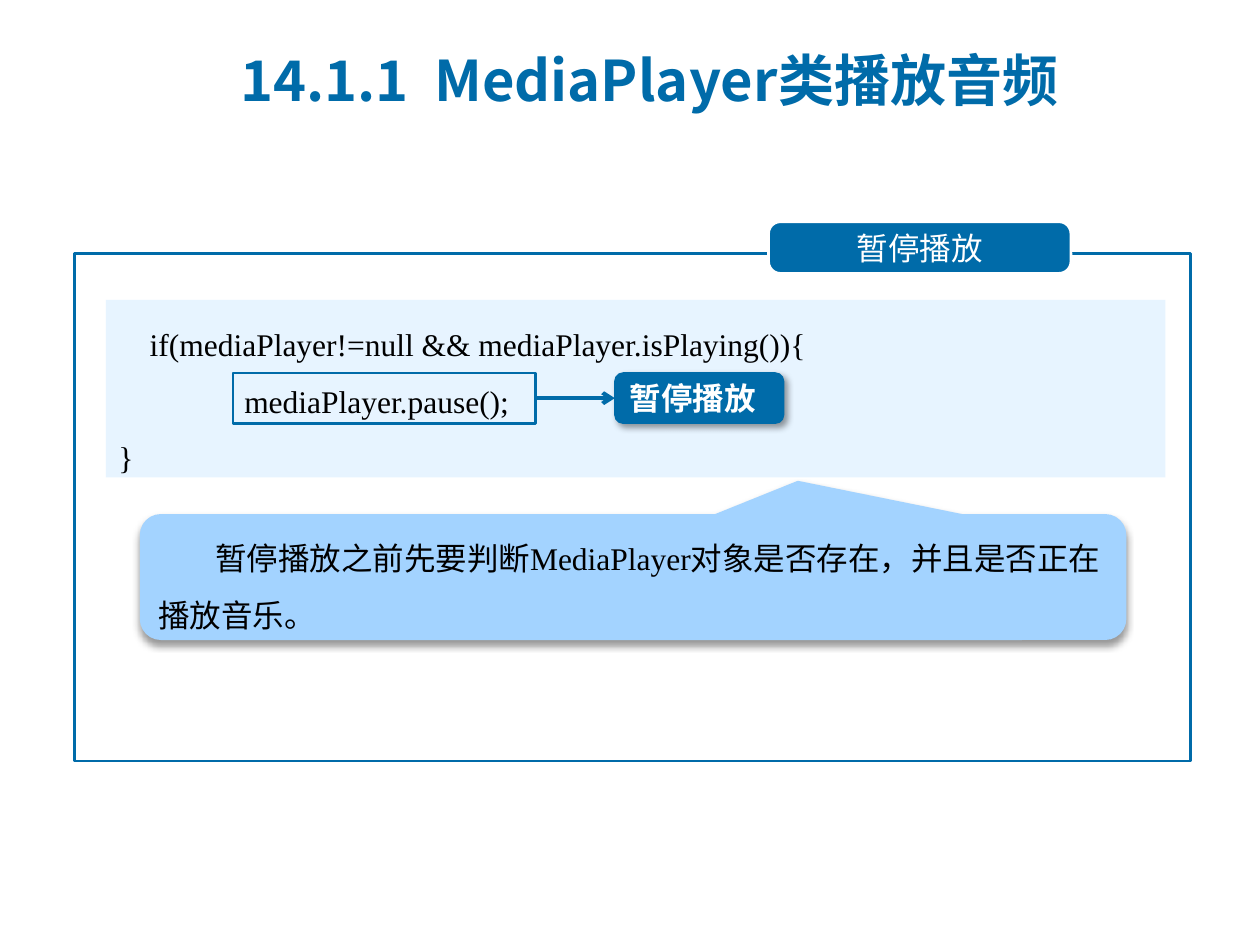
from lxml.etree import SubElement
from pptx import Presentation
from pptx.dml.color import RGBColor
from pptx.enum.shapes import MSO_CONNECTOR, MSO_SHAPE
from pptx.enum.text import MSO_ANCHOR, PP_ALIGN
from pptx.oxml.ns import qn
from pptx.util import Inches, Pt

BLUE, SKY, PALE = "006BA9", "A3D3FF", "E7F4FF"
WHITE, BLACK = "FFFFFF", "000000"
SANS, SERIF, CJK = "Arial", "Times New Roman", "Noto Sans CJK SC"


def color(value):
    return RGBColor.from_string(value)


def add_box(page, kind, box, fill=None, line=None, width=1.5):
    shape = page.shapes.add_shape(kind, *map(Inches, box))
    shape.shadow.inherit = False
    if fill:
        shape.fill.solid()
        shape.fill.fore_color.rgb = color(fill)
    else:
        shape.fill.background()
    if line:
        shape.line.color.rgb = color(line)
        shape.line.width = Pt(width)
    else:
        shape.line.fill.background()
    return shape


def add_shadow(shape, angle):
    effects = shape._element.spPr.find(qn("a:effectLst"))
    shadow = SubElement(effects, qn("a:outerShdw"), blurRad=str(Pt(4)), dist=str(Pt(3)),
                        dir=str(angle * 60000), algn="ctr", rotWithShape="0")
    tint = SubElement(shadow, qn("a:srgbClr"), val=BLACK)
    SubElement(tint, qn("a:alpha"), val="40000")


def write(shape, lines, size=18, ink=BLACK, bold=False, align=PP_ALIGN.LEFT,
          anchor=MSO_ANCHOR.MIDDLE, spacing=None, indent=0, tab=0):
    """Each line is a list of (text, font name) pairs."""
    frame = shape.text_frame
    frame.word_wrap = True
    frame.vertical_anchor = anchor
    for index, parts in enumerate(lines):
        para = frame.add_paragraph() if index else frame.paragraphs[0]
        para.alignment = align
        if spacing:
            para.line_spacing = spacing
        if indent:
            para._p.get_or_add_pPr().set("indent", str(Inches(indent)))
        if tab:
            stops = SubElement(para._p.get_or_add_pPr(), qn("a:tabLst"))
            SubElement(stops, qn("a:tab"), pos=str(Inches(tab)), algn="l")
        for text, font in parts:
            span = para.add_run()
            span.text = text
            span.font.name = font
            span.font.size = Pt(size)
            span.font.bold = bold
            span.font.color.rgb = color(ink)
            SubElement(span._r.get_or_add_rPr(), qn("a:ea"), typeface=CJK)


def add_arrow(page, start, end):
    """Arrow from the right side of one box to the left side of another."""
    arrow = page.shapes.add_connector(MSO_CONNECTOR.STRAIGHT, 0, 0, 0, 0)
    arrow.begin_connect(start, 3)
    arrow.end_connect(end, 1)
    arrow.line.color.rgb = color(BLUE)
    arrow.line.width = Pt(2.25)
    SubElement(arrow.line._get_or_add_ln(), qn("a:tailEnd"), type="arrow")
    SubElement(arrow._element.spPr, qn("a:effectLst"))


def add_title(page, box):
    title = page.shapes.add_textbox(*map(Inches, box))
    write(title, [[("14.1.1  MediaPlayer类播放音频", CJK)]], size=32, ink=BLUE, bold=True)


def add_code(page, box):
    left, top, width, height = box
    panel = add_box(page, MSO_SHAPE.RECTANGLE, box, fill=PALE)
    code = ["    if(mediaPlayer!=null && mediaPlayer.isPlaying()){",
            "\tmediaPlayer.pause();",
            "}"]
    write(panel, [[(text, SERIF)] for text in code], anchor=MSO_ANCHOR.TOP,
          spacing=1.5, tab=1)

    # Highlighted call and its label
    row = top + 0.58
    call = add_box(page, MSO_SHAPE.RECTANGLE, (left + 1.01, row, 2.4, 0.4), line=BLUE)
    label = add_box(page, MSO_SHAPE.ROUNDED_RECTANGLE, (left + 4.04, row, 1.34, 0.4),
                    fill=BLUE, line=BLUE, width=0.75)
    add_shadow(label, 45)
    write(label, [[("暂停播放", SANS)]], ink=WHITE, bold=True)
    add_arrow(page, call, label)


def add_callout(page, box):
    callout = add_box(page, MSO_SHAPE.ROUNDED_RECTANGULAR_CALLOUT, box, fill=SKY)
    for index, value in enumerate((0.167, -0.764, 0.167)):
        callout.adjustments[index] = value
    add_shadow(callout, 90)
    write(callout, [[("暂停播放之前先要判断", SANS), ("MediaPlayer", SERIF),
                     ("对象是否存在，并且是否正在播放音乐。", SANS)]],
          spacing=1.5, indent=0.45)


def add_frame(page, box):
    left, top, width, height = box
    add_box(page, MSO_SHAPE.RECTANGLE, box, line=BLUE)
    # Heading tab sitting on the top edge
    heading = add_box(page, MSO_SHAPE.ROUNDED_RECTANGLE,
                      (left + 5.51, top - 0.25, 2.4, 0.41), fill=BLUE, line=WHITE)
    heading.adjustments[0] = 0.23
    write(heading, [[("暂停播放", CJK)]], ink=WHITE, align=PP_ALIGN.CENTER)


def main():
    deck = Presentation()
    deck.slide_width, deck.slide_height = Inches(10), Inches(7.5)
    page = deck.slides.add_slide(deck.slide_layouts[6])
    add_code(page, (0.84, 2.38, 8.41, 1.41))
    add_callout(page, (1.11, 4.08, 7.83, 1))
    add_frame(page, (0.59, 2.01, 8.86, 4.03))
    add_title(page, (1.81, 0.21, 7.28, 0.84))
    deck.save("out.pptx")


if __name__ == "__main__":
    main()
